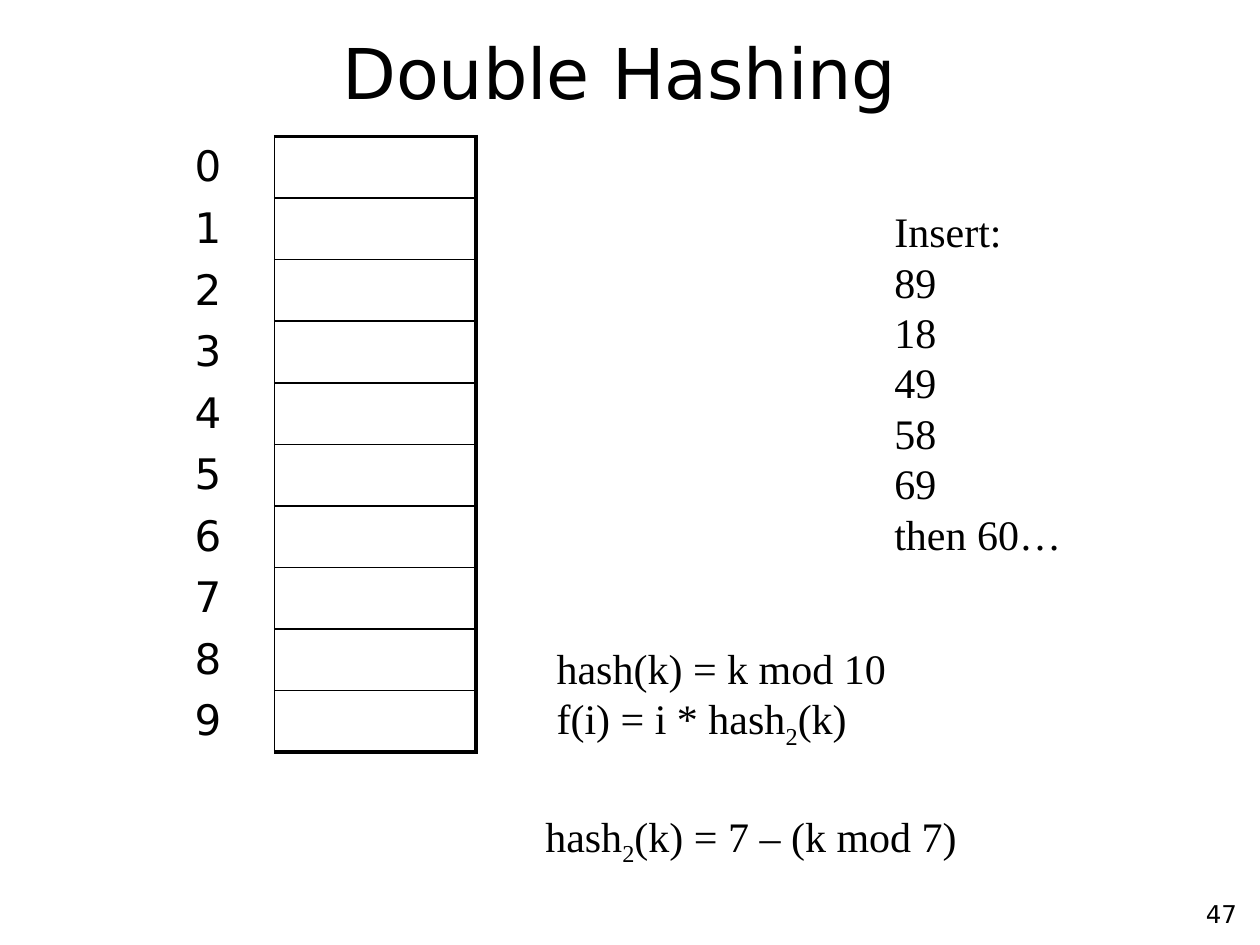
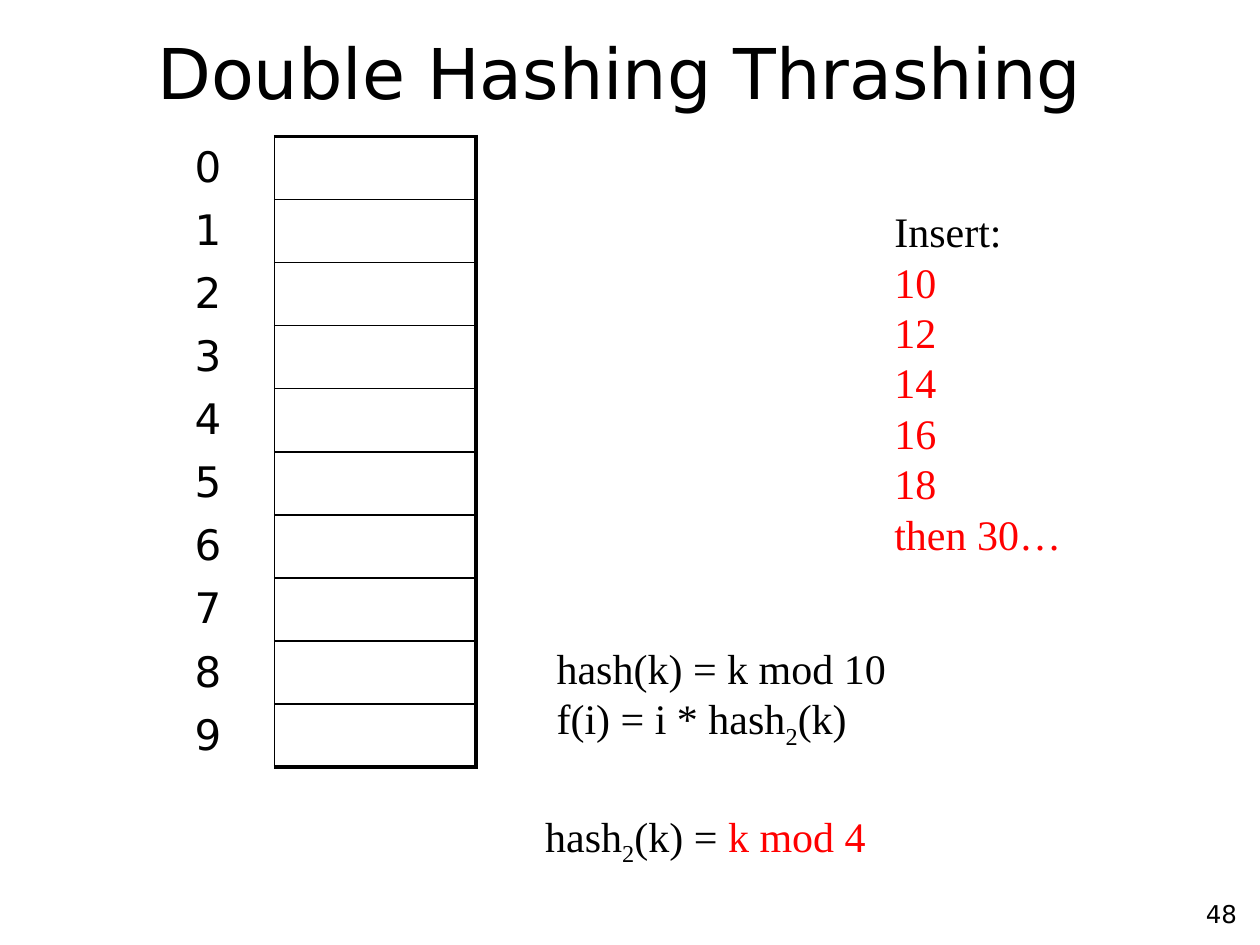
from dataclasses import dataclass

from pptx import Presentation
from pptx.dml.color import RGBColor
from pptx.enum.text import MSO_ANCHOR, MSO_AUTO_SIZE, PP_ALIGN
from pptx.oxml import parse_xml
from pptx.oxml.ns import nsdecls
from pptx.util import Pt


@dataclass(frozen=True)
class Theme:
    ink: str = "000000"
    accent: str = "FF0000"
    sans: str = "DejaVu Sans"
    serif: str = "Times New Roman"
    title_size: int = 40
    body_size: int = 24
    number_size: int = 14
    subscript: int = -25000
    thin: float = 1
    thick: float = 2.25


THEME = Theme()

PLAIN, SUB, ACCENT = "plain", "sub", "accent"

HASH_LINES = [
    [("hash(k) = k mod 10", PLAIN)],
    [("f(i) = i * hash", PLAIN), ("2", SUB), ("(k)", PLAIN)],
]
SECOND_HASH = [("hash", PLAIN), ("2", SUB)]

PAGES = [
    {
        "number": "47",
        "title": "Double Hashing",
        "keys": ["89", "18", "49", "58", "69", "then 60…"],
        "key_style": PLAIN,
        "second_hash": SECOND_HASH + [("(k) = 7 – (k mod 7)", PLAIN)],
        "second_hash_width": 250.5,
    },
    {
        "number": "48",
        "title": "Double Hashing Thrashing",
        "keys": ["10", "12", "14", "16", "18", "then 30…"],
        "key_style": ACCENT,
        "second_hash": SECOND_HASH + [("(k) = ", PLAIN), ("k mod 4", ACCENT)],
        "second_hash_width": 200,
    },
]

SLOT_COUNT = 10
SLOT_HEIGHT = 35.2
COLUMN_WIDTHS = (53, 115)
TABLE_LEFT, TABLE_TOP = 104, 78
NO_GRID_STYLE = "{2D5ABB26-0587-4C30-8999-92F81FD0307C}"


def add_span(para, text, style, font, size):
    span = para.add_run()
    span.text = text
    span.font.name = font
    span.font.size = Pt(size)
    color = THEME.accent if style == ACCENT else THEME.ink
    span.font.color.rgb = RGBColor.from_string(color)
    if style == SUB:
        span.font._element.set("baseline", str(THEME.subscript))


def add_text(page, place, lines, font=THEME.serif, size=THEME.body_size,
             align=PP_ALIGN.LEFT, anchor=MSO_ANCHOR.TOP, wrap=True):
    box = page.shapes.add_textbox(*map(Pt, place))
    frame = box.text_frame
    frame.word_wrap = wrap
    frame.auto_size = MSO_AUTO_SIZE.NONE if wrap else MSO_AUTO_SIZE.SHAPE_TO_FIT_TEXT
    frame.vertical_anchor = anchor
    for index, spans in enumerate(lines):
        para = frame.add_paragraph() if index else frame.paragraphs[0]
        para.alignment = align
        for text, style in spans:
            add_span(para, text, style, font, size)


def set_borders(cell, **widths):
    properties = cell._tc.get_or_add_tcPr()
    for side in "LRTB":
        width = widths.get(side, 0)
        fill = (f'<a:solidFill><a:srgbClr val="{THEME.ink}"/></a:solidFill>'
                if width else "<a:noFill/>")
        properties.append(parse_xml(
            f'<a:ln{side} {nsdecls("a")} w="{Pt(width)}">{fill}</a:ln{side}>'))
    cell.fill.background()


def add_hash_table(page):
    frame = page.shapes.add_table(
        SLOT_COUNT, len(COLUMN_WIDTHS), Pt(TABLE_LEFT), Pt(TABLE_TOP),
        Pt(sum(COLUMN_WIDTHS)), Pt(SLOT_COUNT * SLOT_HEIGHT))
    table = frame.table
    table.first_row = table.horz_banding = False
    table._tbl.tblPr[0].text = NO_GRID_STYLE
    for column, width in zip(table.columns, COLUMN_WIDTHS):
        column.width = Pt(width)
    for slot, row in enumerate(table.rows):
        row.height = Pt(SLOT_HEIGHT)
        label, bucket = row.cells
        label.vertical_anchor = MSO_ANCHOR.MIDDLE
        add_span(label.text_frame.paragraphs[0], str(slot), PLAIN,
                 THEME.sans, THEME.body_size)
        set_borders(label, R=THEME.thin)
        set_borders(bucket, L=THEME.thin, R=THEME.thick,
                    T=THEME.thick if slot == 0 else THEME.thin,
                    B=THEME.thick if slot == SLOT_COUNT - 1 else THEME.thin)


def add_page(deck, content):
    page = deck.slides.add_slide(deck.slide_layouts[6])
    add_text(page, (564, 510, 150, 26.5), [[(content["number"], PLAIN)]],
             THEME.sans, THEME.number_size, PP_ALIGN.RIGHT)
    add_text(page, (48, 14, 612, 54), [[(content["title"], PLAIN)]],
             THEME.sans, THEME.title_size, PP_ALIGN.CENTER, MSO_ANCHOR.MIDDLE)
    add_hash_table(page)
    keys = [[(key, content["key_style"])] for key in content["keys"]]
    add_text(page, (504, 114, 138, 210), [[("Insert:", PLAIN)]] + keys)
    add_text(page, (311, 363.5, 202.5, 65), HASH_LINES, wrap=False)
    add_text(page, (304.5, 459.5, content["second_hash_width"], 36),
             [content["second_hash"]], wrap=False)


def main():
    deck = Presentation()
    deck.slide_width, deck.slide_height = Pt(720), Pt(540)
    for content in PAGES:
        add_page(deck, content)
    deck.save("out.pptx")


if __name__ == "__main__":
    main()
